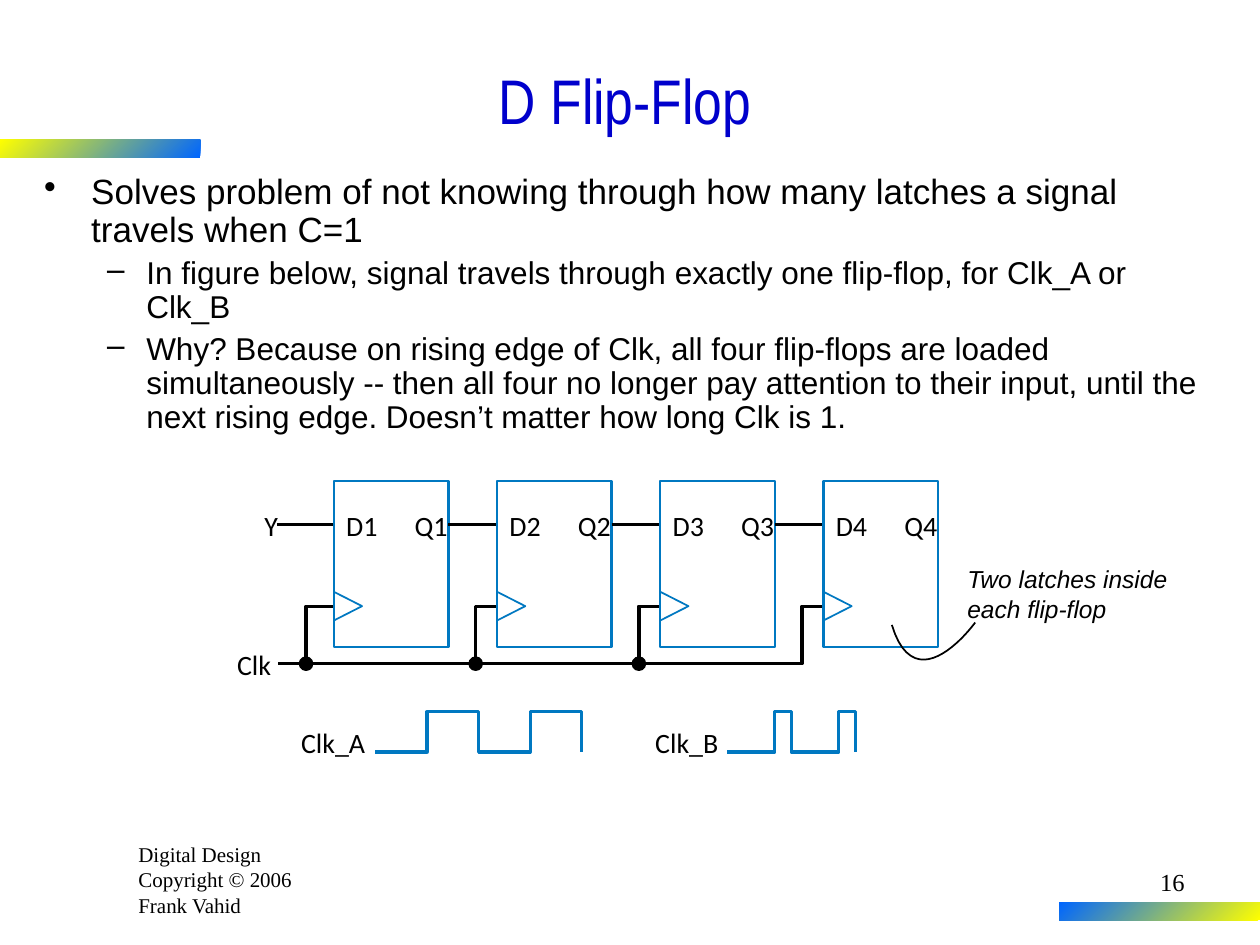
from lxml import etree
from pptx import Presentation
from pptx.dml.color import RGBColor
from pptx.enum.shapes import MSO_CONNECTOR, MSO_SHAPE
from pptx.enum.text import MSO_ANCHOR, PP_ALIGN
from pptx.oxml.ns import qn
from pptx.util import Cm, Pt

STRAIGHT = MSO_CONNECTOR.STRAIGHT
RECTANGLE, OVAL = MSO_SHAPE.RECTANGLE, MSO_SHAPE.OVAL
LEFT, CENTER, RIGHT = PP_ALIGN.LEFT, PP_ALIGN.CENTER, PP_ALIGN.RIGHT
TOP, MIDDLE = MSO_ANCHOR.TOP, MSO_ANCHOR.MIDDLE

COLORS = {
    "text": "000000",
    "title": "0000CC",
    "circuit": "0078C1",
    "bar_blue": "0066FF",
    "bar_yellow": "FFFF00",
}
COLORS = {name: RGBColor.from_string(value) for name, value in COLORS.items()}

TITLE = {"name": "Arial Narrow", "size": Pt(36)}
BULLET = {"name": "Arial", "size": Pt(20)}
SUB_BULLET = {"name": "Arial", "size": Pt(18)}
NOTE = {"name": "Arial", "size": Pt(14), "italic": True}
LABEL = {"name": "Calibri", "size": Pt(16)}
FOOTER = {"name": "Times New Roman", "size": Pt(12)}
NUMBER = {"name": "Times New Roman", "size": Pt(14)}

presentation = Presentation()
presentation.slide_width = Cm(25.4)
presentation.slide_height = Cm(19.05)
slide = presentation.slides.add_slide(presentation.slide_layouts[6])
shapes = slide.shapes


def add_text(box, lines, font_values, color="text", align=LEFT, anchor=TOP, wrap=True):
    shape = shapes.add_textbox(*map(Cm, box))
    frame = shape.text_frame
    frame.word_wrap = wrap
    frame.vertical_anchor = anchor
    for side in ("left", "right", "top", "bottom"):
        margin = 0.25 if side in ("left", "right") else 0.13
        setattr(frame, f"margin_{side}", Cm(margin if wrap else 0))
    for index, line in enumerate(lines):
        paragraph = frame.paragraphs[0] if index == 0 else frame.add_paragraph()
        paragraph.alignment = align
        run = paragraph.add_run()
        run.text = line
        for name, value in font_values.items():
            setattr(run.font, name, value)
        run.font.color.rgb = COLORS[color]
    return frame


def add_path(points, color, width):
    (start_x, start_y), *rest = [(Cm(x), Cm(y)) for x, y in points]
    builder = shapes.build_freeform(start_x, start_y)
    builder.add_line_segments(rest, close=False)
    shape = builder.convert_to_shape()
    shape.shadow.inherit = False
    shape.fill.background()
    shape.line.color.rgb = COLORS[color]
    shape.line.width = Pt(width)


add_text((2.54, 16.84, 4.24, 1.78),
         ["Digital Design", "Copyright © 2006", "Frank Vahid"], FOOTER)

for left, top, stops in [
    (0, 2.82, ("bar_blue", "bar_yellow")),
    (21.36, 18.19, ("bar_yellow", "bar_blue")),
]:
    bar = shapes.add_shape(RECTANGLE, Cm(left), Cm(top), Cm(4.04), Cm(0.36))
    bar.shadow.inherit = False
    bar.line.fill.background()
    bar.fill.gradient()
    bar.fill.gradient_angle = 135
    for stop, color in zip(bar.fill.gradient_stops, stops):
        stop.color.rgb = COLORS[color]

add_text((0.64, 0.84, 23.93, 2.34), ["D Flip-Flop"], TITLE, "title", CENTER, MIDDLE)

body = add_text((0.64, 3.38, 23.93, 5.61), [
    "Solves problem of not knowing through how many latches a signal travels when C=1",
    "In figure below, signal travels through exactly one flip-flop, for Clk_A or Clk_B",
    "Why? Because on rising edge of Clk, all four flip-flops are loaded simultaneously -- "
    "then all four no longer pay attention to their input, until the next rising edge. "
    "Doesn’t matter how long Clk is 1.",
], SUB_BULLET)
for index, paragraph in enumerate(body.paragraphs):
    first = index == 0
    paragraph.line_spacing = 0.9
    if first:
        paragraph.runs[0].font.size = BULLET["size"]
    else:
        paragraph.level = 1
        paragraph.space_before = Pt(4.5)
    properties = paragraph._p.get_or_add_pPr()
    properties.set("marL", str(Cm(0.95 if first else 2.06)))
    properties.set("indent", str(Cm(-0.95 if first else -0.79)))
    bullet = etree.SubElement(properties, qn("a:buChar"))
    bullet.set("char", "•" if first else "–")

add_text((19.25, 11.25, 4.88, 1.45), ["Two latches inside each flip-flop"], NOTE)

box_top, box_width, box_height = 9.7, 2.31, 3.35
first_left, box_step = 6.73, 3.29
data_y, clock_y, bus_y = 10.57, 12.22, 13.38
dot_size = 0.26

for index in range(4):
    left = first_left + index * box_step
    wire_start = left - (box_step - box_width) if index else 5.59
    branch_x = left - (0.43 if index else 0.56)

    wire = shapes.add_connector(STRAIGHT, Cm(wire_start), Cm(data_y), Cm(left), Cm(data_y))
    wire.line.color.rgb = COLORS["text"]
    wire.line.width = Pt(1.87)
    etree.SubElement(wire._element.spPr, qn("a:effectLst"))

    branch = [(left, clock_y), (branch_x, clock_y), (branch_x, bus_y)]
    if index == 3:
        branch.append((5.61, bus_y))
    add_path(branch, "text", 1.87)

    if index < 3:
        dot = shapes.add_shape(OVAL, Cm(branch_x - dot_size / 2), Cm(bus_y - dot_size / 2),
                               Cm(dot_size), Cm(dot_size))
        dot.shadow.inherit = False
        dot.fill.solid()
        dot.fill.fore_color.rgb = COLORS["text"]
        dot.line.color.rgb = COLORS["text"]
        dot.line.width = Pt(1)

    add_path([(left, clock_y + 0.29), (left + 0.57, clock_y), (left, clock_y - 0.29)],
             "circuit", 1)

    flip_flop = shapes.add_shape(RECTANGLE, Cm(left), Cm(box_top), Cm(box_width), Cm(box_height))
    flip_flop.shadow.inherit = False
    flip_flop.fill.background()
    flip_flop.line.color.rgb = COLORS["circuit"]
    flip_flop.line.width = Pt(1.39)

    for pin, offset, width in [("D", 0.25, 0.74), ("Q", 1.63, 0.76)]:
        add_text((left + offset, 10.26, width, 0.69), [f"{pin}{index + 1}"], LABEL, wrap=False)

for text, left, top, width in [
    ("Y", 5.33, 10.26, 0.33),
    ("Clk", 4.78, 13.06, 0.81),
    ("Clk_A", 6.07, 14.63, 1.42),
    ("Clk_B", 13.21, 14.63, 1.42),
]:
    add_text((left, top, width, 0.69), [text], LABEL, wrap=False)

low_y, high_y = 15.16, 14.35
for x, low_time, high_time in [(7.57, 1.04, 1.04), (14.66, 0.96, 0.33)]:
    points = [(x, low_y)]
    for pulse in range(2):
        rise = x + low_time
        x = rise + high_time
        points += [(rise, low_y), (rise, high_y), (x, high_y), (x, low_y)]
    add_path(points, "circuit", 1.87)

start, bend, end = (19.66, 12.55), (18.47, 14.2), (17.98, 12.6)
curve = []
for step in range(25):
    t = step / 24
    weights = ((1 - t) ** 3 + 3 * t * (1 - t) ** 2, 3 * t ** 2 * (1 - t), t ** 3)
    curve.append([sum(w * v for w, v in zip(weights, values))
                  for values in zip(start, bend, end)])
add_path(curve, "text", 1)

add_text((18.85, 17.35, 5.28, 1.27), ["16"], NUMBER, align=RIGHT)

presentation.save("out.pptx")
